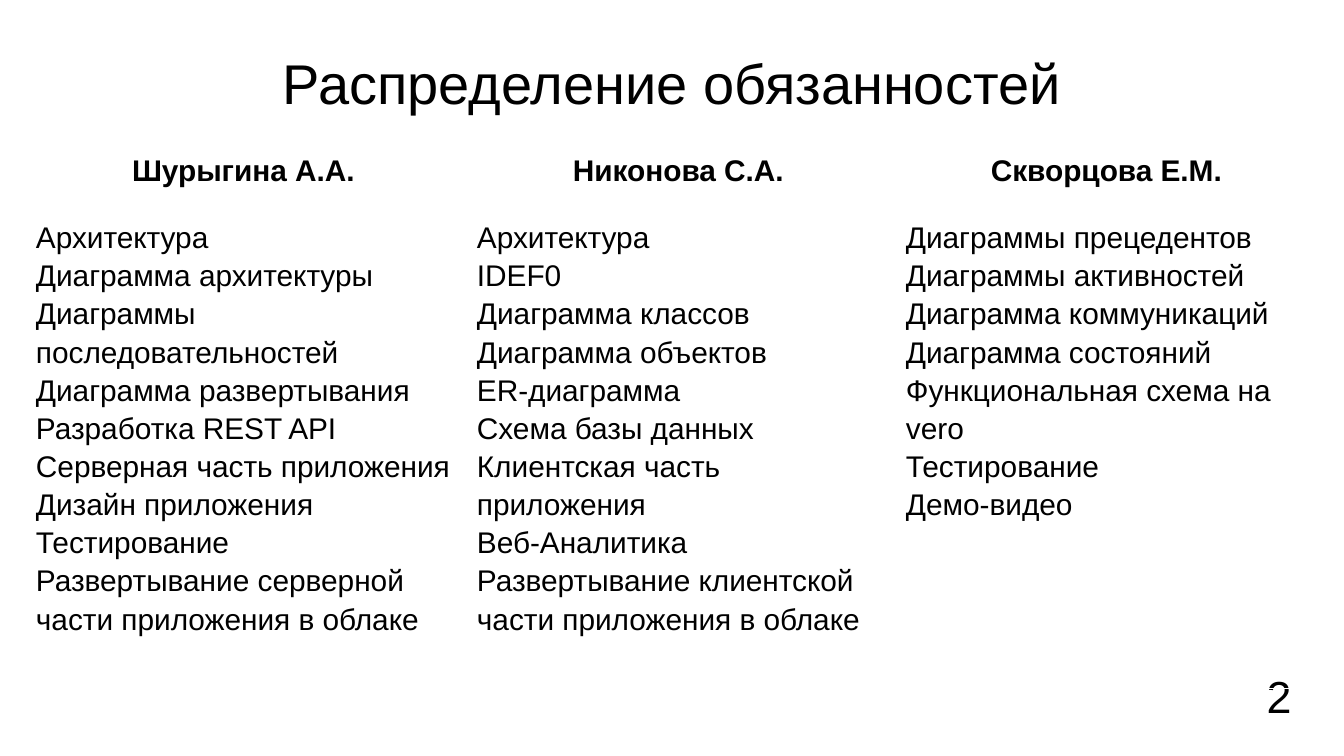
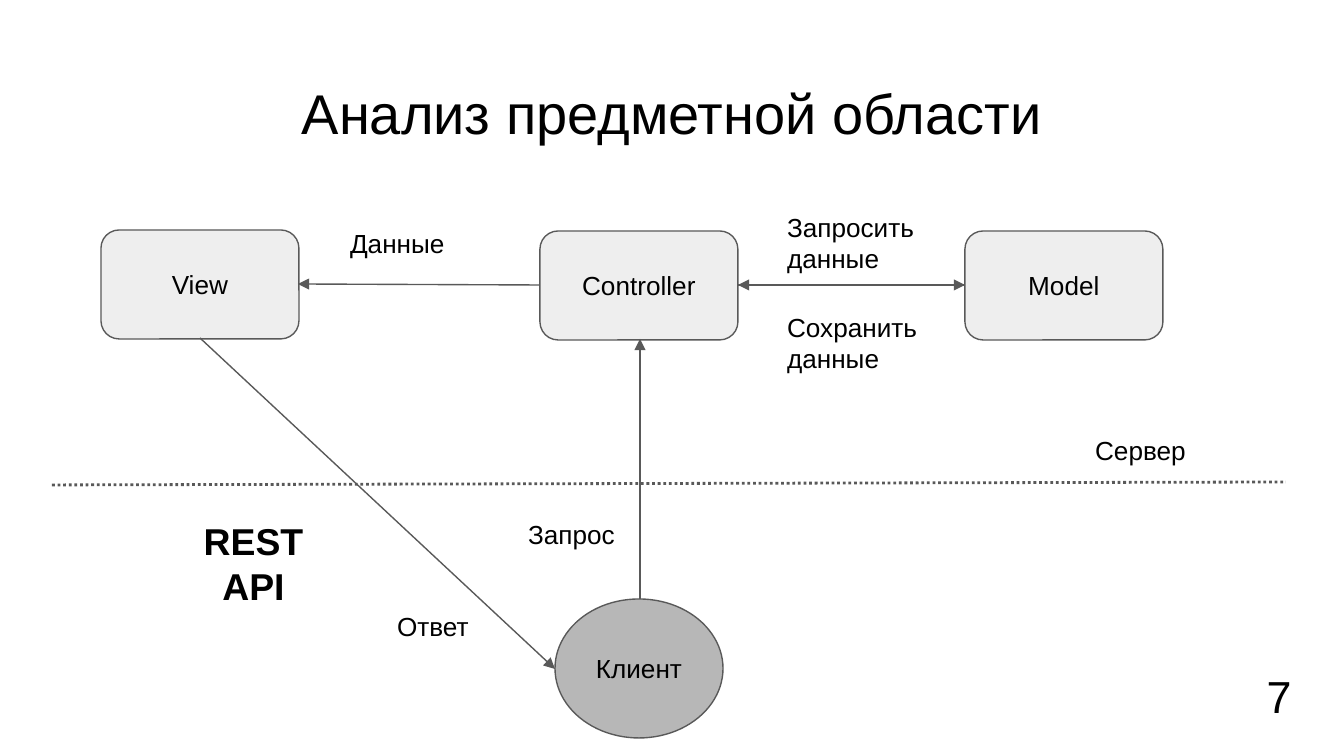
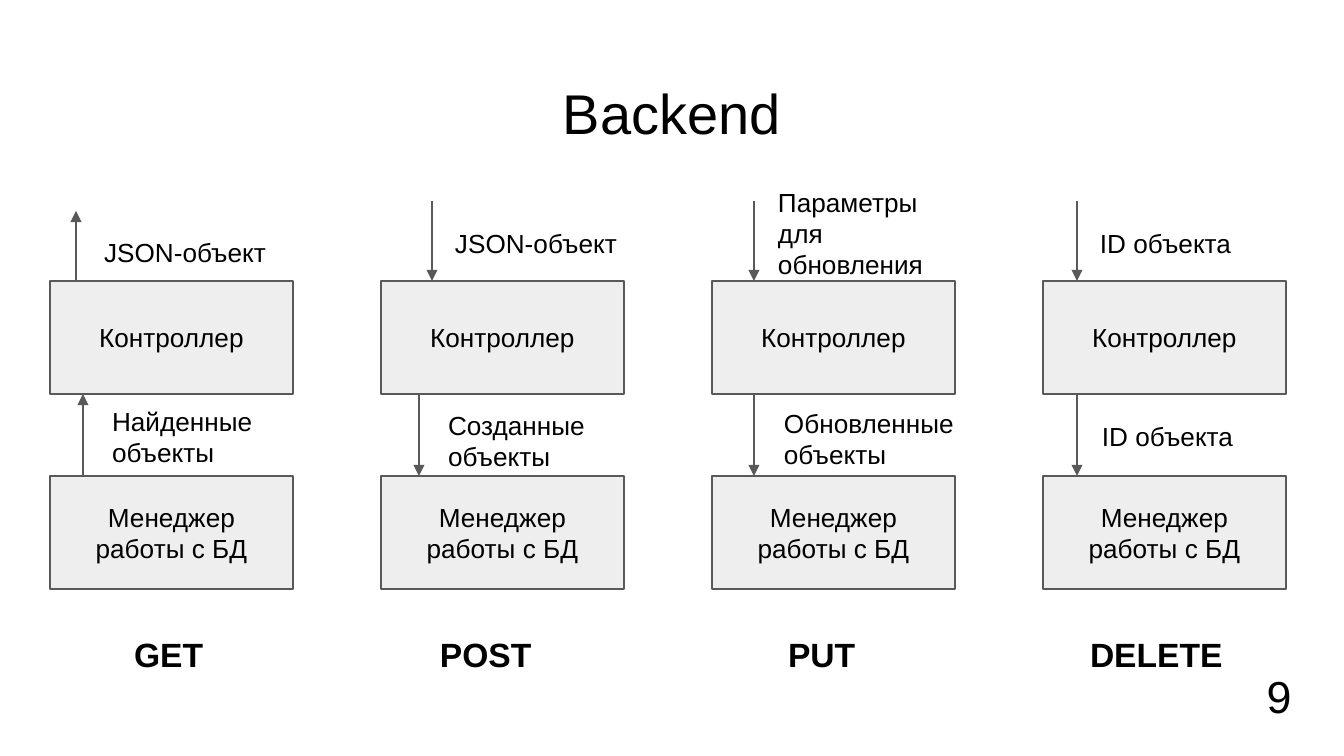
from lxml.etree import SubElement
from pptx import Presentation
from pptx.dml.color import RGBColor
from pptx.enum.dml import MSO_LINE
from pptx.enum.shapes import MSO_CONNECTOR, MSO_SHAPE
from pptx.enum.text import MSO_ANCHOR, PP_ALIGN
from pptx.oxml.ns import qn
from pptx.util import Pt

EMU_PER_PX = 914400 / 134.4
FONT = "Arial"
COLORS = {"text": "000000", "line": "595959", "box": "EEEEEE", "client": "B7B7B7", "border": "FFFFFF"}
LABEL_SIZE = 14
INSET = 13

DUTIES = {
    "Шурыгина А.А.": [
        "Архитектура",
        "Диаграмма архитектуры",
        "Диаграммы последовательностей",
        "Диаграмма развертывания",
        "Разработка REST API Серверная часть приложения",
        "Дизайн приложения",
        "Тестирование",
        "Развертывание серверной части приложения в облаке",
    ],
    "Никонова С.А.": [
        "Архитектура",
        "IDEF0",
        "Диаграмма классов",
        "Диаграмма объектов",
        "ER-диаграмма",
        "Схема базы данных",
        "Клиентская часть приложения",
        "Веб-Аналитика",
        "Развертывание клиентской части приложения в облаке",
    ],
    "Скворцова Е.М.": [
        "Диаграммы прецедентов",
        "Диаграммы активностей",
        "Диаграмма коммуникаций",
        "Диаграмма состояний",
        "Функциональная схема на vero",
        "Тестирование",
        "Демо-видео",
    ],
}


def px(length):
    """Turn a length in px into EMU."""
    return round(length * EMU_PER_PX)


def color(name):
    """Look up a named colour."""
    return RGBColor.from_string(COLORS[name])


def write(text_frame, lines, size, align=PP_ALIGN.LEFT, bold=False, spacing=None):
    """Write one paragraph per line into a text frame."""
    for index, line in enumerate(lines):
        paragraph = text_frame.add_paragraph() if index else text_frame.paragraphs[0]
        paragraph.alignment = align
        if spacing:
            paragraph.line_spacing = spacing
        run = paragraph.add_run()
        run.text = line
        run.font.name = FONT
        run.font.size = Pt(size)
        run.font.bold = bold
        run.font.color.rgb = color("text")


def set_margins(target):
    """Give a text frame or a table cell equal insets."""
    target.margin_left = target.margin_right = px(INSET)
    target.margin_top = target.margin_bottom = px(INSET)


def add_text(slide, text, left, top, width, height, size=LABEL_SIZE, align=PP_ALIGN.LEFT, bold=False):
    """Add a wrapped text box."""
    text_frame = slide.shapes.add_textbox(px(left), px(top), px(width), px(height)).text_frame
    text_frame.word_wrap = True
    set_margins(text_frame)
    write(text_frame, [text], size, align, bold)


def add_box(slide, preset, text, left, top, width, height, fill="box"):
    """Add an outlined shape with centred text."""
    shape = slide.shapes.add_shape(preset, px(left), px(top), px(width), px(height))
    shape.shadow.inherit = False
    shape.fill.solid()
    shape.fill.fore_color.rgb = color(fill)
    shape.line.color.rgb = color("line")
    shape.line.width = Pt(0.75)
    shape.text_frame.word_wrap = True
    shape.text_frame.vertical_anchor = MSO_ANCHOR.MIDDLE
    set_margins(shape.text_frame)
    write(shape.text_frame, [text], LABEL_SIZE, PP_ALIGN.CENTER)


def add_line(slide, start, end, width=0.75):
    """Add a straight line without a shadow."""
    connector = slide.shapes.add_connector(MSO_CONNECTOR.STRAIGHT, *map(px, start + end))
    connector.line.color.rgb = color("line")
    connector.line.width = Pt(width)
    SubElement(connector._element.spPr, qn("a:effectLst"))
    return connector


def add_arrow(slide, start, end):
    """Add a line with a triangle at its end."""
    connector = add_line(slide, start, end)
    SubElement(connector.line._get_or_add_ln(), qn("a:tailEnd"), type="triangle")


def add_slide(presentation, title, number, title_top=66):
    """Add a blank slide with a title and a page number."""
    slide = presentation.slides.add_slide(presentation.slide_layouts[6])
    add_text(slide, title, 46, title_top, 1252, 84, 30, PP_ALIGN.CENTER)
    add_text(slide, str(number), 1214, 656, 130, 101, 24, PP_ALIGN.CENTER)
    return slide


def style_cell(cell):
    """Clear the fill of a cell and draw its borders."""
    set_margins(cell)
    properties = cell._tc.get_or_add_tcPr()
    for side in ("lnL", "lnR", "lnT", "lnB"):
        border = SubElement(properties, qn(f"a:{side}"), w=str(Pt(0.75)))
        fill = SubElement(border, qn("a:solidFill"))
        SubElement(fill, qn("a:srgbClr"), val=COLORS["border"])
    cell.fill.background()


def add_duties_table(slide, widths, heights):
    """Add the table with one column of duties per person."""
    frame = slide.shapes.add_table(2, len(DUTIES), px(23), px(142), px(sum(widths)), px(sum(heights)))
    table = frame.table
    table.first_row = table.horz_banding = False
    for row, height in zip(table.rows, heights):
        row.height = px(height)
    for index, (person, duties) in enumerate(DUTIES.items()):
        table.columns[index].width = px(widths[index])
        header, body = table.cell(0, index), table.cell(1, index)
        style_cell(header)
        style_cell(body)
        write(header.text_frame, [person], 16, PP_ALIGN.CENTER, bold=True)
        write(body.text_frame, duties, 16, spacing=1.15)


def build_duties(presentation):
    """Build the slide on who does what."""
    slide = add_slide(presentation, "Распределение обязанностей", 2, title_top=36)
    add_duties_table(slide, (441, 429, 427), (59, 485))


def build_domain(presentation):
    """Build the slide with the model-view-controller scheme."""
    slide = add_slide(presentation, "Анализ предметной области", 7)
    add_box(slide, MSO_SHAPE.OVAL, "Клиент", 555, 599, 168, 139, "client")
    for name, left, top in (("Controller", 540, 231), ("Model", 965, 231), ("View", 101, 230)):
        add_box(slide, MSO_SHAPE.ROUNDED_RECTANGLE, name, left, top, 198, 109)
    for start, end in (
        ((540, 285), (298, 284)),
        ((738, 285), (965, 285)),
        ((965, 285), (738, 285)),
        ((200, 338), (555, 669)),
        ((640, 599), (640, 339)),
    ):
        add_arrow(slide, start, end)
    for text, left, top, width in (
        ("Данные", 337, 214, 130),
        ("Ответ", 384, 597, 130),
        ("Запрос", 515, 505, 130),
        ("Запросить данные", 774, 198, 208),
        ("Сохранить данные", 774, 298, 188),
        ("Сервер", 1082, 421, 130),
    ):
        add_text(slide, text, left, top, width, 74)
    add_text(slide, "REST API", 176, 505, 155, 74, 20, PP_ALIGN.CENTER, bold=True)
    border = add_line(slide, (52, 485), (1286, 482), 1.5)
    border.line.dash_style = MSO_LINE.ROUND_DOT


def build_backend(presentation):
    """Build the slide with one column per HTTP method."""
    slide = add_slide(presentation, "Backend", 9)
    controller_top, manager_top, box_width, box_height = 281, 476, 243, 113
    controller_bottom = controller_top + box_height
    methods = (
        (("GET", 121, 101), (76, "JSON-объект", 91, 223, 230), (83, "Найденные объекты", 99, 392, 177)),
        (("POST", 427, 151), (432, "JSON-объект", 442, 214, 207), (419, "Созданные объекты", 435, 396, 177)),
        (("PUT", 775, 101), (754, "Параметры для обновления", 765, 173, 207),
         (754, "Обновленные объекты", 771, 394, 207)),
        (("DELETE", 1077, 177), (1077, "ID объекта", 1087, 214, 207), (1077, "ID объекта", 1089, 407, 207)),
    )
    for index, ((method, method_left, method_width), outer, inner) in enumerate(methods):
        left = 50 + 331 * index
        add_box(slide, MSO_SHAPE.RECTANGLE, "Менеджер работы с БД", left, manager_top, box_width, box_height)
        add_box(slide, MSO_SHAPE.RECTANGLE, "Контроллер", left, controller_top, box_width, box_height)
        add_text(slide, method, method_left, 621, method_width, 52, 18, bold=True)
        is_upward = method == "GET"
        outer_top = 211 if is_upward else 201
        for (x, text, text_left, text_top, width), top, bottom, height in (
            (outer, outer_top, controller_top, 65),
            (inner, controller_bottom, manager_top, 85),
        ):
            ends = [(x, top), (x, bottom)]
            add_arrow(slide, *(reversed(ends) if is_upward else ends))
            add_text(slide, text, text_left, text_top, width, height)


def main():
    """Build and save the presentation."""
    presentation = Presentation()
    presentation.slide_width = px(1344)
    presentation.slide_height = px(756)
    build_duties(presentation)
    build_domain(presentation)
    build_backend(presentation)
    presentation.save("out.pptx")


if __name__ == "__main__":
    main()
